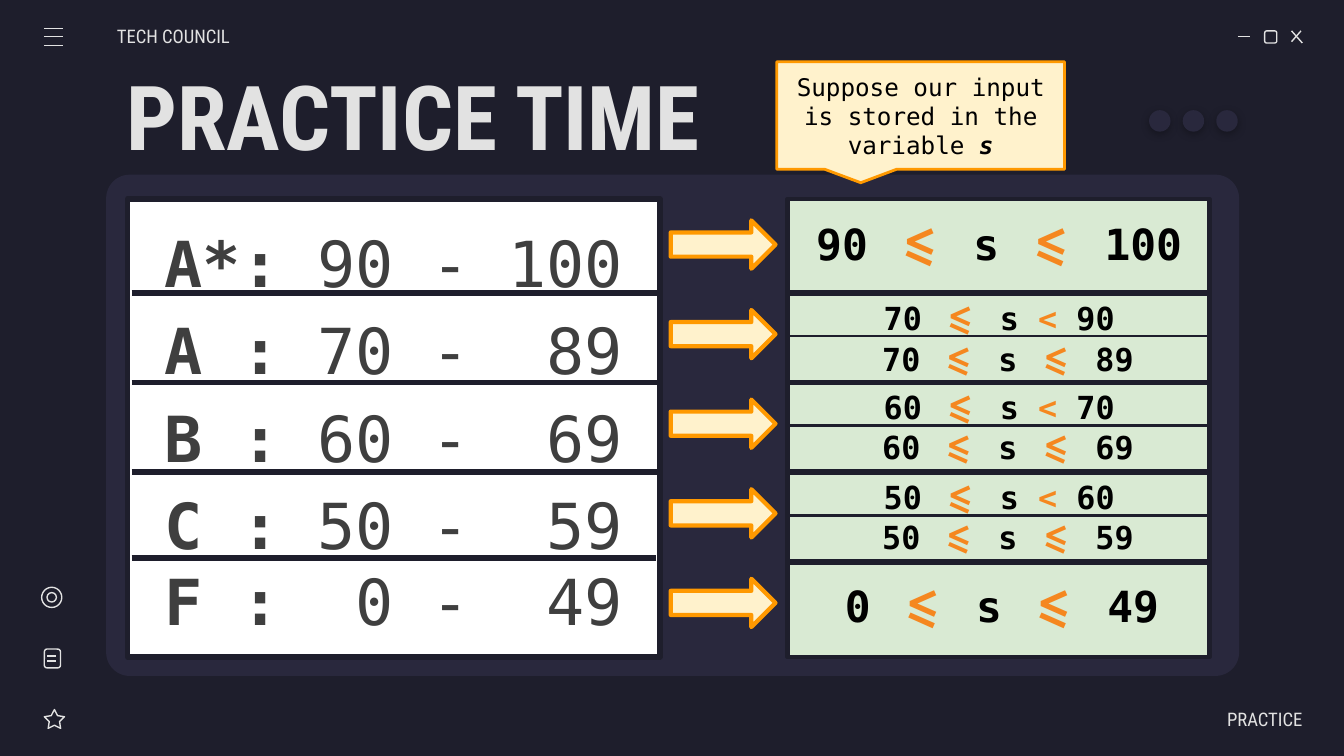
from typing import NamedTuple, Optional

from lxml import etree
from pptx import Presentation
from pptx.dml.color import RGBColor
from pptx.enum import shapes, text
from pptx.oxml import parse_xml
from pptx.oxml.ns import nsdecls, qn
from pptx.util import Inches, Pt

COLORS = {
    "night": "1E1E2C", "panel": "29283D", "light": "E2E2E2", "white": "FFFFFF",
    "grey": "3F3F3F", "cream": "FFF2CC", "amber": "FF9900", "green": "D9EAD3",
    "operator": "F5871F", "black": "000000",
}
SANS, MONO, CODE = "Roboto Condensed", "DejaVu Sans Mono", "Fira Code"
SHAPE = shapes.MSO_SHAPE
ALIGN = text.PP_ALIGN
ROW_PITCH = 2 / 3


class Box(NamedTuple):
    left: float
    top: float
    width: float
    height: float


class Run(NamedTuple):
    words: str
    color: Optional[str] = None
    font: Optional[str] = None
    bold: Optional[bool] = None
    italic: Optional[bool] = None


class Grade(NamedTuple):
    label: str
    marks: str


class Condition(NamedTuple):
    box: Box
    size: int
    low: str
    operator: str
    high: str


class Band(NamedTuple):
    """A middle grade, written with an open and with a closed upper end."""
    low: str
    limit: str
    high: str
    closed_top: float


def rgb(name: str) -> RGBColor:
    return RGBColor.from_string(COLORS[name])


def add_shape(s, kind, box: Box, fill=None, line=None, width=0.75, adj=()):
    sp = s.shapes.add_shape(kind, *map(Inches, box))
    sp.shadow.inherit = False
    if fill:
        sp.fill.solid()
        sp.fill.fore_color.rgb = rgb(fill)
    else:
        sp.fill.background()
    if line:
        sp.line.color.rgb = rgb(line)
        sp.line.width = Pt(width)
    else:
        sp.line.fill.background()
    for i, value in enumerate(adj):
        sp.adjustments[i] = value
    return sp


def add_line(s, x1: float, y1: float, x2: float, y2: float, color="light", width=0.75):
    line = s.shapes.add_connector(shapes.MSO_CONNECTOR.STRAIGHT, *map(Inches, (x1, y1, x2, y2)))
    line.line.color.rgb = rgb(color)
    line.line.width = Pt(width)
    etree.SubElement(line._element.spPr, qn("a:effectLst"))


def set_frame(sp, anchor=text.MSO_ANCHOR.TOP, left=0.1, right=0.1):
    tf = sp.text_frame
    tf.word_wrap = True
    tf.auto_size = text.MSO_AUTO_SIZE.NONE
    tf.vertical_anchor = anchor
    tf.margin_left, tf.margin_right = Inches(left), Inches(right)
    tf.margin_top = tf.margin_bottom = Inches(0.1)
    return tf


def write(p, runs: list[Run], size: int, font: str, color: str, align=ALIGN.CENTER, bold=False):
    p.alignment = align
    p.font.size, p.font.name, p.font.bold = Pt(size), font, bold
    p.font.color.rgb = rgb(color)
    for run in runs:
        r = p.add_run()
        r.text = run.words
        # Every run states its look, so placeholder defaults cannot show through.
        r.font.size, r.font.name = Pt(size), run.font or font
        r.font.color.rgb = rgb(run.color or color)
        r.font.bold = bold if run.bold is None else run.bold
        r.font.italic = run.italic


def add_label(s, box: Box, words: str, align, left: float, right: float):
    sp = s.shapes.add_textbox(*map(Inches, box))
    tf = set_frame(sp, text.MSO_ANCHOR.MIDDLE, left, right)
    write(tf.paragraphs[0], [Run(words)], 10, SANS, "light", align)


def add_window_icons(s):
    add_line(s, 9.21, 0.27, 9.3, 0.27)
    add_shape(s, SHAPE.ROUNDED_RECTANGLE, Box(9.41, 0.23, 0.09, 0.09), line="light")
    add_line(s, 9.61, 0.23, 9.69, 0.32)
    add_line(s, 9.68, 0.23, 9.61, 0.31)
    for y in (0.21, 0.34, 0.27):
        add_line(s, 0.33, y, 0.47, y)


def add_side_icons(s):
    add_shape(s, SHAPE.STAR_5_POINT, Box(0.33, 5.28, 0.15, 0.14), line="light",
              adj=(0.254, 1.051, 1.106))
    add_shape(s, SHAPE.ROUNDED_RECTANGLE, Box(0.33, 4.83, 0.12, 0.14), line="light")
    for y in (4.88, 4.92):
        add_line(s, 0.35, y, 0.42, y)
    for box in (Box(0.31, 4.37, 0.15, 0.15), Box(0.35, 4.41, 0.07, 0.07)):
        add_shape(s, SHAPE.OVAL, box, line="light")


def add_dots(s):
    for i in range(3):
        dot = add_shape(s, SHAPE.OVAL, Box(9.05 - 0.25 * i, 0.82, 0.16, 0.16), "panel")
        dot._element.spPr.find(qn("a:effectLst")).append(parse_xml(
            f'<a:outerShdw {nsdecls("a")} blurRad="{Pt(4.5)}" dist="{Pt(1.5)}" dir="5400000" '
            'algn="bl" rotWithShape="0"><a:srgbClr val="000000"><a:alpha val="30000"/>'
            '</a:srgbClr></a:outerShdw>'))


def add_grades(s, grades: list[Grade]):
    sp = add_shape(s, SHAPE.RECTANGLE, Box(0.95, 1.48, 3.96, 3.41), "white", "night", 3)
    tf = set_frame(sp)
    for i, grade in enumerate(grades):
        p = tf.add_paragraph() if i else tf.paragraphs[0]
        p.line_spacing = 1.15 if i < len(grades) - 1 else 1.0
        write(p, [Run(grade.label, bold=True), Run(grade.marks)], 34, MONO, "grey")
    for i in range(3):
        y = 2.18 + ROW_PITCH * i
        add_line(s, 0.98, y, 4.92, y, "night", 3)
    add_line(s, 0.98, 4.15, 4.88, 4.15, "night", 3)


def add_condition(s, condition: Condition):
    sp = s.shapes.add_textbox(*map(Inches, condition.box))
    if condition.operator == "<":
        upper = [Run("<", "operator"), Run(f" {condition.high}")]
    else:
        upper = [Run("<= ", "operator", CODE), Run(condition.high)]
    runs = [Run(f"{condition.low} "), Run("<= ", "operator", CODE), Run("s "), *upper]
    write(set_frame(sp).paragraphs[0], runs, condition.size, MONO, "black", bold=True)


def add_conditions(s, bands: list[Band]):
    add_shape(s, SHAPE.RECTANGLE, Box(5.86, 1.48, 3.14, 3.41), "green", "night", 2.25)
    for i in range(4):
        y = 2.18 + ROW_PITCH * i
        add_line(s, 5.87, y, 8.99, y, "night", 3)
    add_condition(s, Condition(Box(5.96, 1.52, 2.95, 0.59), 23, "90", "<=", "100"))
    for i, band in enumerate(bands):
        drop = ROW_PITCH * i
        add_line(s, 5.87, 2.5 + drop, 8.99, 2.5 + drop, "night", 1.5)
        open_box = Box(5.96, 2.12 + drop, 2.95, 0.77 if i else 0.49)
        closed_box = Box(5.86, band.closed_top, 3.28, 0.49)
        add_condition(s, Condition(open_box, 17, band.low, "<", band.limit))
        add_condition(s, Condition(closed_box, 17, band.low, "<=", band.high))
    add_condition(s, Condition(Box(5.98, 4.21, 2.95, 0.59), 23, "0", "<=", "49"))


def main():
    prs = Presentation()
    prs.slide_width = Inches(10)
    prs.slide_height = prs.slide_width * 9 // 16
    s = prs.slides.add_slide(prs.slide_layouts[5])
    s.background.fill.solid()
    s.background.fill.fore_color.rgb = rgb("night")

    title = s.shapes.title
    title.left, title.top, title.width, title.height = map(Inches, (0.84, 0.54, 8.43, 0.63))
    tf = set_frame(title, text.MSO_ANCHOR.MIDDLE)
    write(tf.paragraphs[0], [Run("PRACTICE TIME")], 48, SANS, "light", ALIGN.LEFT, True)

    add_shape(s, SHAPE.ROUNDED_RECTANGLE, Box(0.79, 1.3, 8.43, 3.73), "panel", adj=(0.047,))
    add_window_icons(s)
    add_side_icons(s)
    add_dots(s)
    add_label(s, Box(0.87, 0.12, 1.17, 0.3), "TECH COUNCIL", ALIGN.LEFT, 0, 0.1)
    add_label(s, Box(8.52, 5.2, 1.17, 0.3), "PRACTICE", ALIGN.RIGHT, 0.1, 0)

    add_grades(s, [Grade("A*: ", "90 - 100"), Grade("A : ", "70 -  89"),
                   Grade("B : ", "60 -  69"), Grade("C : ", "50 -  59"),
                   Grade("F :  ", "0 -  49")])
    callout = add_shape(s, SHAPE.RECTANGULAR_CALLOUT, Box(5.78, 0.46, 2.14, 0.8),
                        "cream", "amber", 1.5, (-0.208, 0.625))
    tf = set_frame(callout, text.MSO_ANCHOR.MIDDLE)
    write(tf.paragraphs[0], [Run("Suppose our input is stored in the variable "),
                             Run("s", bold=True, italic=True)], 13, MONO, "black")
    add_conditions(s, [Band("70", "90", "89", 2.43), Band("60", "70", "69", 3.08),
                       Band("50", "60", "59", 3.75)])
    for i in range(5):
        add_shape(s, SHAPE.RIGHT_ARROW, Box(4.99, 1.64 + ROW_PITCH * i, 0.78, 0.36),
                  "cream", "amber", 2.25)
    prs.save("out.pptx")


if __name__ == "__main__":
    main()
